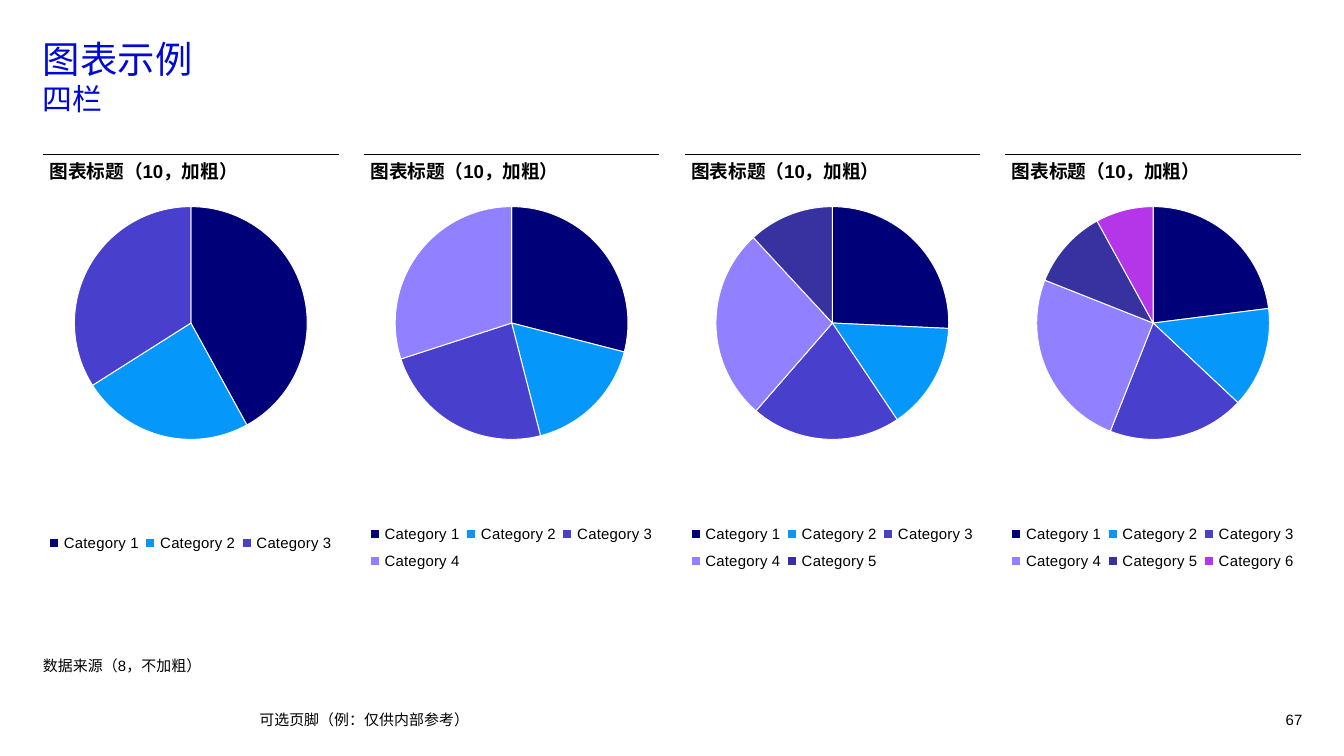
"""Build a four-column pie chart example slide."""
from pptx import Presentation, util as u
from pptx.chart.data import CategoryChartData
from pptx.dml.color import RGBColor
from pptx.enum import chart as ch, shapes, text
from pptx.oxml import parse_xml
from pptx.oxml.ns import nsdecls, qn

TITLE = ["图表示例", "四栏"]
HEADING = "图表标题（10，加粗）"
SOURCE = "数据来源（8，不加粗）"
FOOTER = "可选页脚（例：仅供内部参考）"
PAGE = "67"
PIES = [
    (42, 24, 34),
    (29, 17, 24, 30),
    (26, 15, 21, 27, 12),
    (23, 14, 19, 25, 11, 8),
]
THEME = {
    "font": "Arial",
    "cjk": "Noto Sans CJK SC",
    "ink": "000000",
    "title": "000AD2",
    "edge": "FFFFFF",
    "slices": ["000078", "0598FA", "483FCD", "9180FF", "3831A0", "B436E8"],
    "title_sizes": [20, 16],
    "heading_size": 10,
    "small_size": 8,
}
SLIDE_W = 10
SLIDE_H = SLIDE_W * 9 / 16
LEFT, RIGHT, COL_W, RULE_Y = 0.32, 9.68, 2.2, 1.15
PITCH = (RIGHT - LEFT - COL_W) / (len(PIES) - 1)
PLOT = (0.1, 0.12, 0.8, 0.55)


def style_font(font, size, color=THEME["ink"], name=THEME["font"], bold=False):
    """Apply the type settings to a font."""
    for key, value in {"name": name, "size": u.Pt(size), "bold": bold}.items():
        setattr(font, key, value)
    font.color.rgb = RGBColor.from_string(color)


def add_run(p, content, size, **fmt):
    """Add a styled run with its East Asian typeface."""
    r = p.add_run()
    r.text = content
    style_font(r.font, size, **fmt)
    latin = r.font._element.find(qn("a:latin"))
    latin.addnext(parse_xml(f'<a:ea {nsdecls("a")} typeface="{THEME["cjk"]}"/>'))


def add_box(s, box, anchor=text.MSO_ANCHOR.TOP, **para):
    """Add a text box without insets and return its paragraph."""
    tf = s.shapes.add_textbox(*map(u.Inches, box)).text_frame
    frame = dict.fromkeys(
        ("margin_left", "margin_top", "margin_right", "margin_bottom"), 0)
    frame.update(word_wrap=True, vertical_anchor=anchor)
    for key, value in frame.items():
        setattr(tf, key, value)
    p = tf.paragraphs[0]
    for key, value in para.items():
        setattr(p, key, value)
    return p


def set_layout(el, box, index, target=""):
    """Give a chart part a manual layout in chart fractions."""
    for old in el.findall(qn("c:layout")):
        el.remove(old)
    sizes = "".join(f'<c:{k} val="{v}"/>' for k, v in zip("xywh", box))
    el.insert(index, parse_xml(
        f'<c:layout {nsdecls("c")}><c:manualLayout>{target}'
        f'<c:xMode val="edge"/><c:yMode val="edge"/>{sizes}'
        "</c:manualLayout></c:layout>"))


def add_rule(s, x):
    """Draw the rule above a column."""
    line = s.shapes.add_connector(
        shapes.MSO_CONNECTOR.STRAIGHT,
        *map(u.Inches, (x, RULE_Y, x + COL_W, RULE_Y)))
    line.line.color.rgb = RGBColor.from_string(THEME["ink"])
    line.line.width = u.Pt(0.75)
    line._element.spPr.append(parse_xml(f'<a:effectLst {nsdecls("a")}/>'))


def add_pie(s, x, values):
    """Add one pie with its legend below."""
    data = CategoryChartData()
    data.categories = [f"Category {n}" for n, _ in enumerate(values, 1)]
    data.add_series("Series 1", values)
    chart = s.shapes.add_chart(
        ch.XL_CHART_TYPE.PIE, *map(u.Inches, (x, 1.16, COL_W, 3.15)), data).chart
    style_font(chart.font, THEME["heading_size"])
    chart.has_title = False
    chart.has_legend = True
    legend = chart.legend
    legend.position = ch.XL_LEGEND_POSITION.RIGHT
    legend.include_in_layout = False
    style_font(legend.font, THEME["small_size"])
    legend_y = 0.84 if len(values) <= 3 else 0.85
    el = legend._element
    set_layout(el, (0, legend_y, 1, 0.15), len(el.findall(qn("c:legendPos"))))
    set_layout(chart._chartSpace.chart.plotArea, PLOT, 0,
               '<c:layoutTarget val="inner"/>')
    plot = chart.plots[0]
    plot.vary_by_categories = True
    for i, color in enumerate(THEME["slices"][:len(values)]):
        fmt = plot.series[0].points[i].format
        fmt.fill.solid()
        fmt.fill.fore_color.rgb = RGBColor.from_string(color)
        fmt.line.color.rgb = RGBColor.from_string(THEME["edge"])
        fmt.line.width = u.Pt(0.5)


def main():
    """Assemble and save the slide."""
    prs = Presentation()
    prs.slide_width, prs.slide_height = u.Inches(SLIDE_W), u.Inches(SLIDE_H)
    s = prs.slides.add_slide(prs.slide_layouts[6])

    p = add_box(s, (LEFT, 0.27, 9.37, 0.72))
    for i, (line, size) in enumerate(zip(TITLE, THEME["title_sizes"])):
        if i:
            p.add_line_break()
        add_run(p, line, size, color=THEME["title"], name=THEME["cjk"])

    for i, values in enumerate(PIES):
        x = LEFT + i * PITCH
        add_rule(s, x)
        add_pie(s, x, values)
        p = add_box(s, (x + 0.05, 1.19, COL_W, 0.2))
        add_run(p, HEADING, THEME["heading_size"], bold=True)

    middle = text.MSO_ANCHOR.MIDDLE
    notes = [
        (SOURCE, (LEFT, 4.49, 9.37, 0.53), text.MSO_ANCHOR.BOTTOM,
         {"line_spacing": 1.1}),
        (FOOTER, (1.93, 5.28, 6.46, 0.15), middle, {}),
        (PAGE, (9.3, 5.28, 0.39, 0.15), middle,
         {"alignment": text.PP_ALIGN.RIGHT}),
    ]
    for content, box, anchor, para in notes:
        add_run(add_box(s, box, anchor, **para), content, THEME["small_size"])

    prs.save("out.pptx")


if __name__ == "__main__":
    main()
